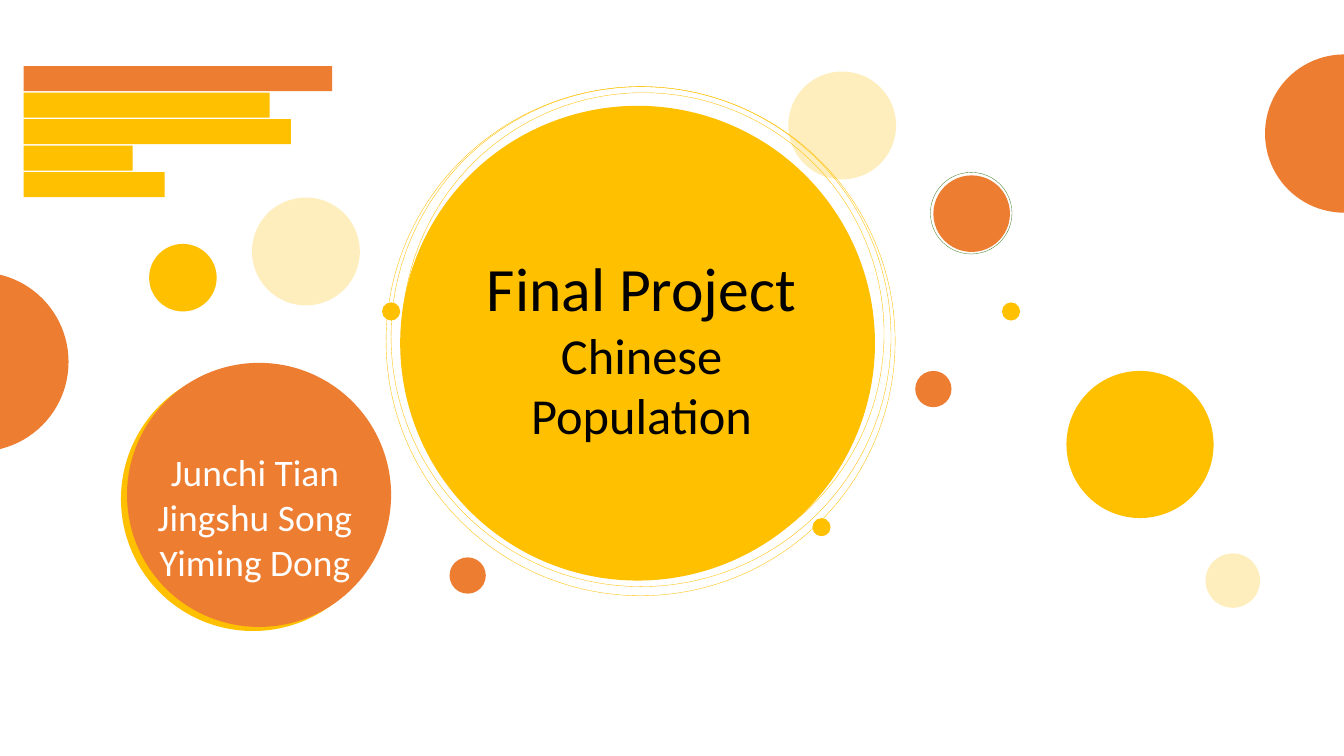
"""Build the title slide of a project on Chinese population."""
from dataclasses import dataclass

from lxml import etree
from pptx import Presentation
from pptx.dml.color import RGBColor
from pptx.enum.shapes import MSO_SHAPE
from pptx.enum.text import MSO_ANCHOR, MSO_AUTO_SIZE, PP_ALIGN
from pptx.oxml.ns import qn
from pptx.util import Inches, Pt

OVAL, BAR = MSO_SHAPE.OVAL, MSO_SHAPE.RECTANGLE
CENTER, TOP, FIXED = PP_ALIGN.CENTER, MSO_ANCHOR.TOP, MSO_AUTO_SIZE.NONE
TITLE_ONLY = 5


@dataclass(frozen=True)
class Theme:
    gold: str = "FFC000"
    orange: str = "ED7D31"
    green: str = "548235"
    black: str = "000000"
    white: str = "FFFFFF"
    font: str = "Calibri"
    title_size: float = 44
    subtitle_size: float = 36
    author_size: float = 26.7
    ring_width: float = 0.25
    pale_opacity: int = 26


THEME = Theme()
CELL = 0.1
COLUMNS, ROWS = 133.33, 75

TITLE = [("Final Project", THEME.title_size), ("Chinese Population", THEME.subtitle_size)]
TITLE_BOX = (46.6, 24.3, 34.1, 20.5)
AUTHORS = [(name, THEME.author_size) for name in ("Junchi Tian", "Jingshu Song", "Yiming Dong")]
AUTHORS_BOX = (13, 44.1, 24.6, 14.5)

BAR_LEFT, BAR_TOP, BAR_HEIGHT, BAR_PITCH = 2.35, 6.55, 2.5, 2.63
BARS = [
    (30.6, THEME.orange),
    (24.4, THEME.gold),
    (26.5, THEME.gold),
    (10.8, THEME.gold),
    (14, THEME.gold),
]

AUTHOR_SHADE = (12, 36.4, 26.2, THEME.gold)
DISCS = [
    (-11, 27, 17.8, THEME.orange),
    (39.7, 10.5, 47.1, THEME.gold),
    (12.6, 36, 26.2, THEME.orange),
    (14.8, 24.2, 6.7, THEME.gold),
    (105.8, 36.8, 14.6, THEME.gold),
    (90.8, 36.8, 3.6, THEME.orange),
    (92.6, 17.4, 7.6, THEME.orange),
    (125.5, 5.4, 15.7, THEME.orange),
    (44.6, 55.3, 3.6, THEME.orange),
    (80.6, 51.4, 1.8, THEME.gold),
    (37.9, 30, 1.8, THEME.gold),
    (99.4, 30, 1.8, THEME.gold),
]
PALE_DISCS = [(25, 19.6, 10.7), (78.2, 7.1, 10.7), (119.6, 54.9, 5.4)]
RINGS = [
    (39.9, 9.2, 47.8, THEME.gold),
    (38.3, 8.6, 50.5, THEME.gold),
    (38.8, 8.6, 49.6, THEME.gold),
    (92.3, 17.1, 8.1, THEME.green),
]


def cells(*counts):
    return [Inches(count * CELL) for count in counts]


def add_solid(page, kind, place, color, opacity=100):
    shape = page.shapes.add_shape(kind, *cells(*place))
    shape.shadow.inherit = False
    shape.line.fill.background()
    shape.fill.solid()
    shape.fill.fore_color.rgb = RGBColor.from_string(color)
    if opacity < 100:
        tint = shape.element.spPr.find(qn("a:solidFill"))[0]
        etree.SubElement(tint, qn("a:alpha")).set("val", str(opacity * 1000))


def add_ring(page, left, top, size, color):
    ring = page.shapes.add_shape(OVAL, *cells(left, top, size, size))
    ring.shadow.inherit = False
    ring.fill.background()
    ring.line.color.rgb = RGBColor.from_string(color)
    ring.line.width = Pt(THEME.ring_width)


def write_lines(box, lines, color):
    frame = box.text_frame
    frame.word_wrap = True
    frame.auto_size = FIXED
    frame.vertical_anchor = TOP
    for index, (text, size) in enumerate(lines):
        para = frame.add_paragraph() if index else frame.paragraphs[0]
        para.alignment = CENTER
        span = para.add_run()
        span.text = text
        span.font.name = THEME.font
        span.font.size = Pt(size)
        span.font.color.rgb = RGBColor.from_string(color)


def main():
    deck = Presentation()
    deck.slide_width, deck.slide_height = cells(COLUMNS, ROWS)
    page = deck.slides.add_slide(deck.slide_layouts[TITLE_ONLY])

    left, top, size, color = AUTHOR_SHADE
    add_solid(page, OVAL, (left, top, size, size), color)
    for row, (width, color) in enumerate(BARS):
        add_solid(page, BAR, (BAR_LEFT, BAR_TOP + row * BAR_PITCH, width, BAR_HEIGHT), color)
    for left, top, size, color in DISCS:
        add_solid(page, OVAL, (left, top, size, size), color)
    for left, top, size in PALE_DISCS:
        add_solid(page, OVAL, (left, top, size, size), THEME.gold, THEME.pale_opacity)
    for ring in RINGS:
        add_ring(page, *ring)

    title = page.shapes.title
    title.left, title.top, title.width, title.height = cells(*TITLE_BOX)
    write_lines(title, TITLE, THEME.black)
    title.element.getparent().append(title.element)
    write_lines(page.shapes.add_textbox(*cells(*AUTHORS_BOX)), AUTHORS, THEME.white)

    deck.save("out.pptx")


if __name__ == "__main__":
    main()
